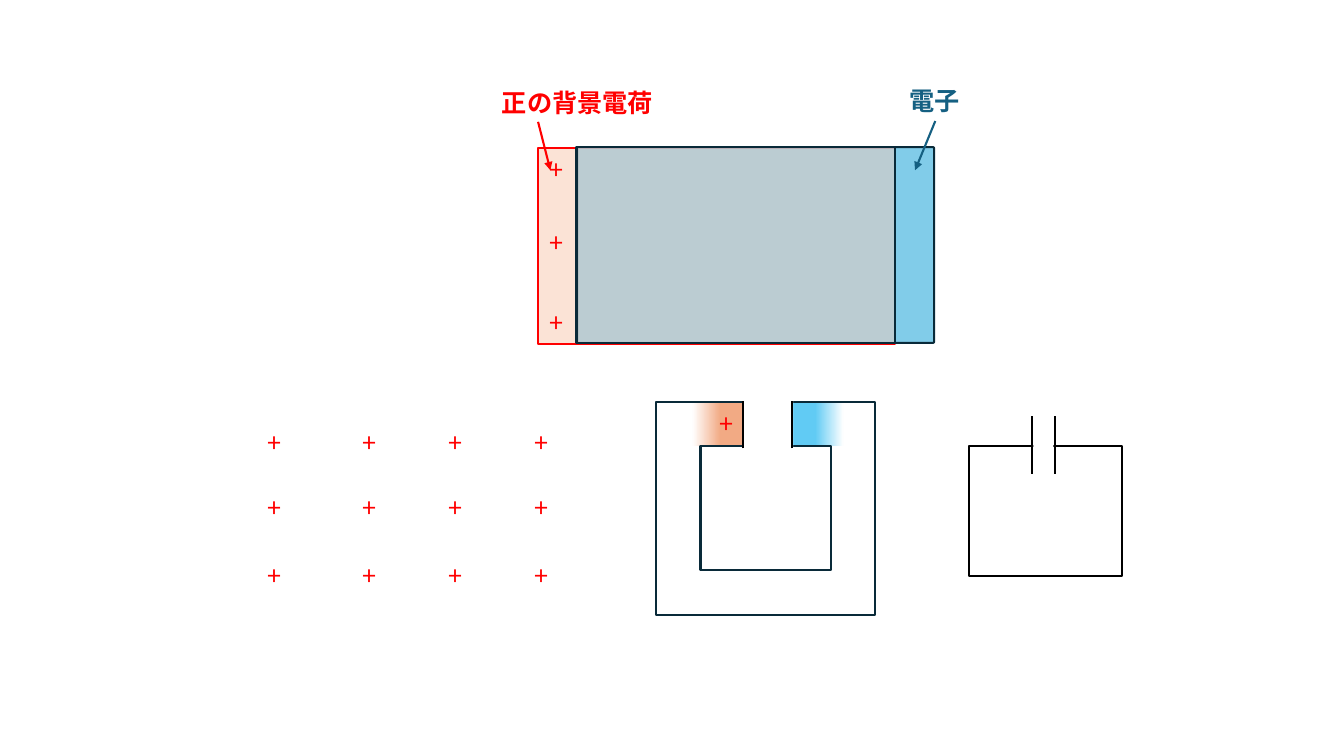
from dataclasses import dataclass
from itertools import product
from typing import Optional

import lxml.etree
import pptx
import pptx.dml.color
import pptx.enum.shapes
import pptx.enum.text
import pptx.oxml.ns
import pptx.shapes.autoshape
import pptx.shapes.shapetree
import pptx.util

Cm = pptx.util.Cm
RGBColor = pptx.dml.color.RGBColor
Kind = pptx.enum.shapes.MSO_SHAPE
Group = pptx.shapes.shapetree.GroupShapes
qn = pptx.oxml.ns.qn

RED = RGBColor(0xFF, 0x00, 0x00)
BLACK = RGBColor(0x00, 0x00, 0x00)
WHITE = RGBColor(0xFF, 0xFF, 0xFF)
TEAL = RGBColor(0x15, 0x60, 0x82)
NAVY = RGBColor(0x09, 0x2A, 0x39)
BLUE = RGBColor(0x0F, 0x9E, 0xD5)
SKY = RGBColor(0x61, 0xCB, 0xF4)
PEACH = RGBColor(0xFB, 0xE3, 0xD6)
ORANGE = RGBColor(0xF2, 0xAA, 0x84)
GREY = RGBColor(0xD1, 0xD1, 0xD1)

FONT = "Noto Sans CJK JP"
LINE_WIDTH = pptx.util.Pt(1.5)
TEXT_HEIGHT = 1.02
PLUS_WIDTH = 0.97


@dataclass(frozen=True)
class Block:
    left: float
    top: float
    width: float
    height: float
    kind: Kind = Kind.RECTANGLE
    adjustment: Optional[float] = None
    fill: Optional[RGBColor] = None
    opacity: int = 100
    line: Optional[RGBColor] = None


@dataclass(frozen=True)
class Segment:
    x1: float
    y1: float
    x2: float
    y2: float
    color: RGBColor = BLACK
    arrow: bool = False


def add_block(group: Group, block: Block) -> pptx.shapes.autoshape.Shape:
    shape = group.add_shape(block.kind, Cm(block.left), Cm(block.top),
                            Cm(block.width), Cm(block.height))
    shape.shadow.inherit = False
    if block.adjustment is not None:
        shape.adjustments[0] = block.adjustment
    if block.fill is None:
        shape.fill.background()
    else:
        shape.fill.solid()
        shape.fill.fore_color.rgb = block.fill
    if block.opacity < 100:
        color = shape._element.spPr.find(qn("a:solidFill"))[0]
        lxml.etree.SubElement(color, qn("a:alpha"), val=str(block.opacity * 1000))
    if block.line is None:
        shape.line.fill.background()
    else:
        shape.line.color.rgb = block.line
        shape.line.width = LINE_WIDTH
    return shape


def add_fading_block(group: Group, block: Block, color: RGBColor, angle: int) -> None:
    """Draw a block that fades from the colour to white along the angle."""
    fill = add_block(group, block).fill
    fill.gradient()
    fill.gradient_angle = angle
    for stop, position, shade in zip(fill.gradient_stops, (0.44, 1), (color, WHITE)):
        stop.position = position
        stop.color.rgb = shade


def add_segment(group: Group, segment: Segment) -> None:
    connector = group.add_connector(
        pptx.enum.shapes.MSO_CONNECTOR.STRAIGHT,
        Cm(segment.x1), Cm(segment.y1), Cm(segment.x2), Cm(segment.y2))
    connector.line.color.rgb = segment.color
    connector.line.width = LINE_WIDTH
    properties = connector._element.spPr
    if segment.arrow:
        lxml.etree.SubElement(properties.find(qn("a:ln")), qn("a:tailEnd"), type="triangle")
    lxml.etree.SubElement(properties, qn("a:effectLst"))


def add_text(group: Group, text: str, left: float, top: float, *,
             width: float = PLUS_WIDTH, color: RGBColor = RED, bold: bool = False) -> None:
    box = group.add_textbox(Cm(left), Cm(top), Cm(width), Cm(TEXT_HEIGHT))
    frame = box.text_frame
    frame.word_wrap = False
    frame.auto_size = pptx.enum.text.MSO_AUTO_SIZE.SHAPE_TO_FIT_TEXT
    span = frame.paragraphs[0].add_run()
    span.text = text
    span.font.name = FONT
    span.font.size = pptx.util.Pt(18)
    span.font.bold = bold
    span.font.color.rgb = color
    lxml.etree.SubElement(span.font._element, qn("a:ea"), typeface=FONT)


def draw_ion_lattice(group: Group) -> None:
    for top, left in product((10.64, 12.29, 14.0), (6.48, 8.89, 11.05, 13.23)):
        add_text(group, "+", left, top)


def draw_shifted_slab(group: Group) -> None:
    add_block(group, Block(13.56, 3.73, 8.99, 4.93, fill=PEACH, line=RED))
    add_block(group, Block(14.55, 3.71, 8.99, 4.93, Kind.ROUNDED_RECTANGLE, 0.005,
                           fill=BLUE, opacity=52, line=NAVY))
    for top in (3.76, 5.61, 7.62):
        add_text(group, "+", 13.59, top)
    add_segment(group, Segment(23.57, 3.05, 23.06, 4.29, TEAL, arrow=True))
    add_text(group, "電子", 22.66, 2.03, width=1.8, color=TEAL, bold=True)
    add_segment(group, Segment(13.56, 3.07, 13.87, 4.29, RED, arrow=True))
    add_text(group, "正の背景電荷", 12.4, 2.08, width=4.37, bold=True)
    add_block(group, Block(14.53, 3.71, 8.03, 4.93, Kind.ROUNDED_RECTANGLE, 0,
                           fill=GREY, opacity=74, line=NAVY))


def draw_split_ring(group: Group) -> None:
    add_fading_block(group, Block(17.45, 10.16, 1.27, 1.09), ORANGE, 180)
    add_fading_block(group, Block(19.99, 10.16, 1.27, 1.09), SKY, 0)
    add_block(group, Block(16.54, 10.13, 5.51, 5.36, Kind.FRAME, 0.208, line=NAVY))
    add_block(group, Block(18.72, 9.63, 1.27, 1.9, fill=WHITE))
    for x in (18.72, 19.96):
        add_segment(group, Segment(x, 11.3, x, 10.11))
    add_text(group, "+", 17.88, 10.16)


def draw_capacitor_circuit(group: Group) -> None:
    add_block(group, Block(24.41, 11.23, 3.86, 3.28, line=BLACK))
    for x in (26.01, 26.59):
        add_segment(group, Segment(x, 11.94, x, 10.49))
    add_block(group, Block(26.04, 10.97, 0.51, 0.43, fill=WHITE))


def main() -> None:
    deck = pptx.Presentation()
    deck.slide_width, deck.slide_height = Cm(33.87), Cm(19.05)
    page = deck.slides.add_slide(deck.slide_layouts[6])
    for draw in (draw_ion_lattice, draw_shifted_slab,
                 draw_split_ring, draw_capacitor_circuit):
        draw(page.shapes.add_group_shape().shapes)
    deck.save("out.pptx")


if __name__ == "__main__":
    main()
